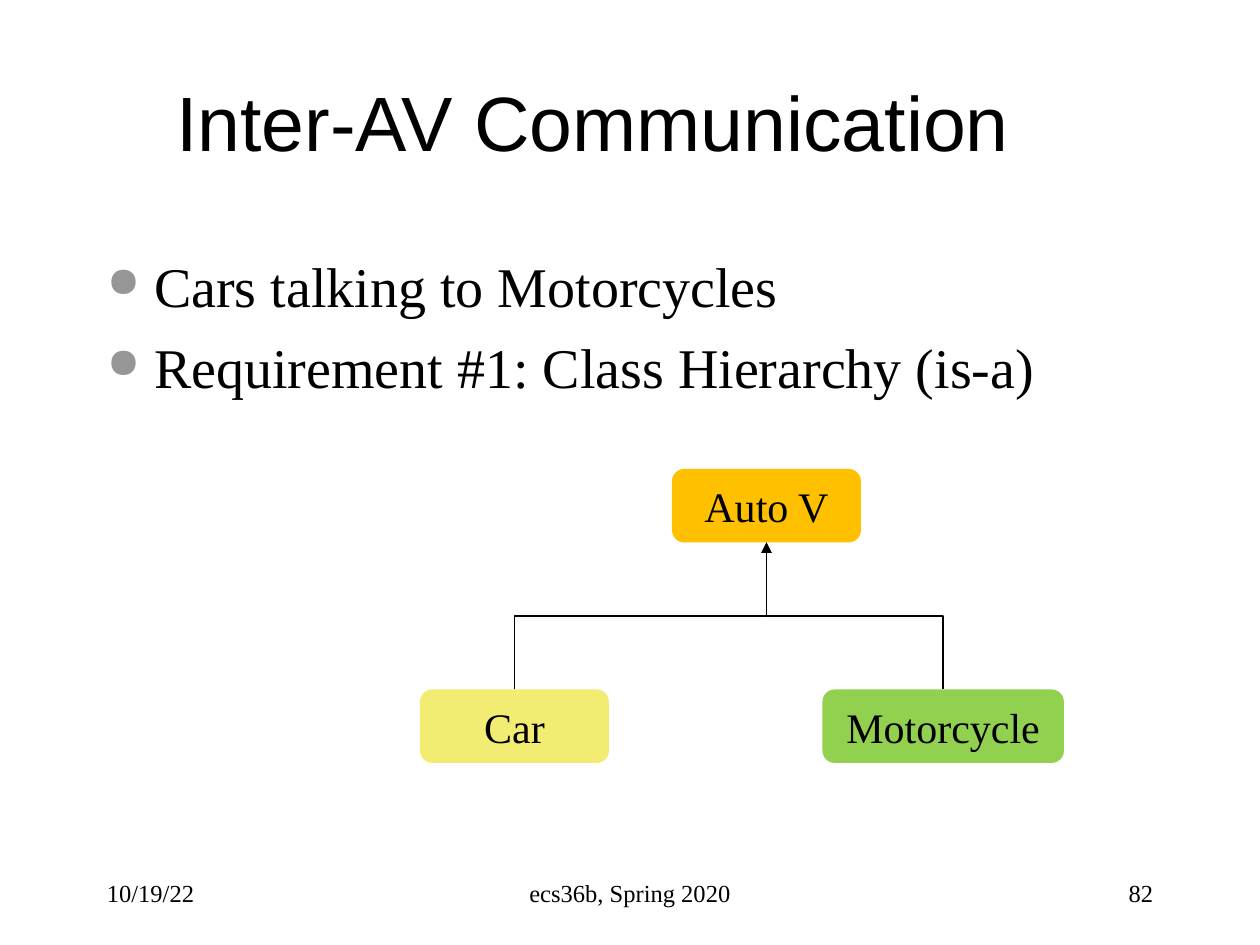
from dataclasses import dataclass

from lxml.etree import SubElement
from pptx import Presentation
from pptx.dml.color import RGBColor
from pptx.enum.shapes import MSO_CONNECTOR, MSO_SHAPE
from pptx.enum.text import MSO_ANCHOR, PP_ALIGN
from pptx.oxml.ns import qn
from pptx.util import Pt

COLOURS = {
    "ink": "000000",
    "bullet": "969696",
    "base": "FFC000",
    "car": "F3EC72",
    "motorcycle": "92D050",
}
SERIF = "Times New Roman"


@dataclass
class Label:
    text: str
    left: float
    top: float
    width: float
    height: float
    size: float
    align: PP_ALIGN
    font: str = SERIF


@dataclass
class ClassBox:
    name: str
    left: float
    top: float
    width: float
    fill: str
    height: float = 42

    @property
    def middle(self) -> float:
        return self.left + self.width / 2

    @property
    def bottom(self) -> float:
        return self.top + self.height


FOOTER = {"top": 492, "height": 36, "size": 14}
LABELS = [
    Label("Inter-AV Communication", 90, 24, 498, 90, 44, PP_ALIGN.CENTER, "Arial"),
    Label("10/19/22", 54, width=150, align=PP_ALIGN.LEFT, **FOOTER),
    Label("ecs36b, Spring 2020", 246, width=228, align=PP_ALIGN.CENTER, **FOOTER),
    Label("82", 516, width=150, align=PP_ALIGN.RIGHT, **FOOTER),
]
POINTS = ["Cars talking to Motorcycles", "Requirement #1: Class Hierarchy (is-a)"]
PARENT = ClassBox("Auto V", 384, 268, 108, "base")
CHILDREN = [
    ClassBox("Car", 240, 394, 108, "car"),
    ClassBox("Motorcycle", 470, 394, 138, "motorcycle"),
]


def colour(name: str) -> RGBColor:
    return RGBColor.from_string(COLOURS[name])


def style(para, size: float, font: str = SERIF) -> None:
    para.font.size = Pt(size)
    para.font.name = font
    para.font.color.rgb = colour("ink")


def add_label(page, label: Label) -> None:
    box = page.shapes.add_textbox(
        Pt(label.left), Pt(label.top), Pt(label.width), Pt(label.height))
    frame = box.text_frame
    frame.word_wrap = True
    frame.vertical_anchor = MSO_ANCHOR.MIDDLE
    para = frame.paragraphs[0]
    para.text = label.text
    para.alignment = label.align
    style(para, label.size, label.font)


def add_bullet(para) -> None:
    properties = para._p.get_or_add_pPr()
    properties.set("marL", str(Pt(27)))
    properties.set("indent", str(-Pt(27)))
    bullet_colour = SubElement(properties, qn("a:buClr"))
    SubElement(bullet_colour, qn("a:srgbClr"), val=COLOURS["bullet"])
    SubElement(properties, qn("a:buSzPct"), val="75000")
    SubElement(properties, qn("a:buChar"), char="●")


def add_points(page, points: list[str]) -> None:
    frame = page.shapes.add_textbox(Pt(54), Pt(140), Pt(612), Pt(324)).text_frame
    frame.word_wrap = True
    for index, point in enumerate(points):
        para = frame.add_paragraph() if index else frame.paragraphs[0]
        para.text = point
        add_bullet(para)
        if index:
            para.space_before = Pt(8)
        style(para, 32)


def add_class_box(page, item: ClassBox) -> None:
    shape = page.shapes.add_shape(
        MSO_SHAPE.ROUNDED_RECTANGLE,
        Pt(item.left), Pt(item.top), Pt(item.width), Pt(item.height))
    shape.shadow.inherit = False
    shape.fill.solid()
    shape.fill.fore_color.rgb = colour(item.fill)
    shape.line.fill.background()
    frame = shape.text_frame
    frame.vertical_anchor = MSO_ANCHOR.MIDDLE
    para = frame.paragraphs[0]
    para.text = item.name
    para.alignment = PP_ALIGN.CENTER
    style(para, 24)


def add_inheritance(page, child: ClassBox, parent: ClassBox) -> None:
    """Draw an elbow arrow up to the parent; a quarter turn makes it leave vertically."""
    turn = 1 if child.middle < parent.middle else -1
    center_x = (child.middle + parent.middle) / 2
    center_y = (child.top + parent.bottom) / 2
    half_rise = turn * (child.top - parent.bottom) / 2
    half_run = abs(child.middle - parent.middle) / 2
    arrow = page.shapes.add_connector(
        MSO_CONNECTOR.ELBOW,
        Pt(center_x + half_rise), Pt(center_y + half_run),
        Pt(center_x - half_rise), Pt(center_y - half_run))
    properties = arrow._element.spPr
    properties.find(qn("a:xfrm")).set("rot", str(turn * 90 % 360 * 60000))
    arrow.line.color.rgb = colour("ink")
    arrow.line.width = Pt(1)
    SubElement(arrow.line._get_or_add_ln(), qn("a:tailEnd"), type="triangle")
    SubElement(properties, qn("a:effectLst"))


def main() -> None:
    deck = Presentation()
    deck.slide_width, deck.slide_height = Pt(720), Pt(540)
    page = deck.slides.add_slide(deck.slide_layouts[6])
    for label in LABELS:
        add_label(page, label)
    add_points(page, POINTS)
    for item in [PARENT, *CHILDREN]:
        add_class_box(page, item)
    for child in CHILDREN:
        add_inheritance(page, child, PARENT)
    deck.save("out.pptx")


if __name__ == "__main__":
    main()
